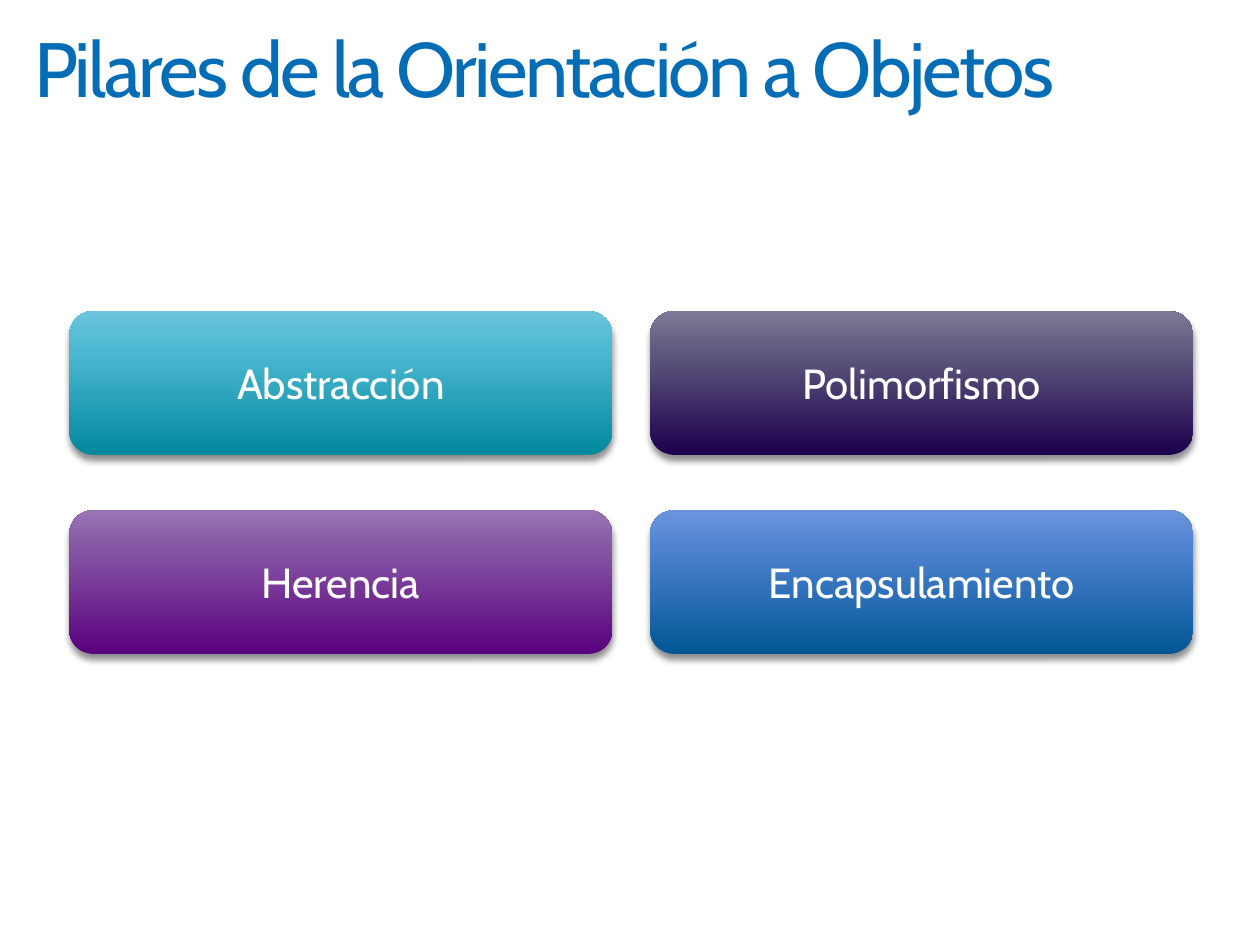
from copy import deepcopy

from lxml import etree
from pptx import Presentation
from pptx.dml.color import RGBColor
from pptx.enum.shapes import MSO_SHAPE
from pptx.enum.text import MSO_ANCHOR, PP_ALIGN
from pptx.oxml.ns import qn
from pptx.util import Inches, Pt

ROUNDED = MSO_SHAPE.ROUNDED_RECTANGLE
MIDDLE = MSO_ANCHOR.MIDDLE
CENTER = PP_ALIGN.CENTER

TITLE = "Pilares de la Orientación a Objetos"
PILLARS = [
    ("Abstracción", ("00889D", "4DB8D2", "6BC5DD")),
    ("Polimorfismo", ("1C004D", "5F597E", "7E7A95")),
    ("Herencia", ("5A007E", "8555A4", "9974B4")),
    ("Encapsulamiento", ("005694", "4D82D0", "6B94DB")),
]
STOPS = (0, 0.72, 1)
FONT = "Cabin"
COLUMNS = 2
LEFT, TOP = 0.55, 2.47
WIDTH, HEIGHT = 4.31, 1.14
COLUMN_GAP, ROW_GAP = 0.3, 0.44


def rgb(value):
    return RGBColor.from_string(value)


def add_run(paragraph, text, size, color):
    run = paragraph.add_run()
    run.text = text
    run.font.name = FONT
    run.font.size = Pt(size)
    run.font.color.rgb = rgb(color)
    return run


def fill_gradient(shape, colors):
    shape.fill.gradient()
    shape.fill.gradient_angle = 90
    stop_list = shape._element.spPr.find(".//" + qn("a:gsLst"))
    stop_list.append(deepcopy(stop_list[-1]))
    for stop, position, color in zip(shape.fill.gradient_stops, STOPS, colors):
        stop.position = position
        stop.color.rgb = rgb(color)


def add_shadow(shape):
    shape.shadow.inherit = False
    effects = shape._element.spPr.find(qn("a:effectLst"))
    shadow = etree.SubElement(
        effects, qn("a:outerShdw"), blurRad=str(Pt(4)), dist=str(Pt(3)),
        dir="5400000", rotWithShape="0")
    color = etree.SubElement(shadow, qn("a:srgbClr"), val="000000")
    etree.SubElement(color, qn("a:alpha"), val="43000")


def add_title(slide):
    title = slide.shapes.add_textbox(
        Inches(0.27), Inches(0.25), Inches(9.51), Inches(0.76))
    frame = title.text_frame
    frame.word_wrap = True
    frame.margin_left = frame.margin_right = 0
    frame.margin_top = frame.margin_bottom = 0
    heading = frame.paragraphs[0]
    heading.line_spacing = 0.9
    run = add_run(heading, TITLE, 44, "056CB6")
    run.font._element.set("spc", "-150")


def add_pillar(slide, index, name, colors):
    row, column = divmod(index, COLUMNS)
    pillar = slide.shapes.add_shape(
        ROUNDED,
        Inches(LEFT + column * (WIDTH + COLUMN_GAP)),
        Inches(TOP + row * (HEIGHT + ROW_GAP)),
        Inches(WIDTH), Inches(HEIGHT))
    fill_gradient(pillar, colors)
    pillar.line.fill.background()
    add_shadow(pillar)
    frame = pillar.text_frame
    frame.word_wrap = True
    frame.vertical_anchor = MIDDLE
    label = frame.paragraphs[0]
    label.alignment = CENTER
    add_run(label, name, 24, "FFFFFF")


def main():
    """Build the slide on the pillars of object orientation."""
    deck = Presentation()
    deck.slide_width, deck.slide_height = Inches(10), Inches(7.5)
    slide = deck.slides.add_slide(deck.slide_layouts[6])
    add_title(slide)
    for index, (name, colors) in enumerate(PILLARS):
        add_pillar(slide, index, name, colors)
    deck.save("out.pptx")


if __name__ == "__main__":
    main()
